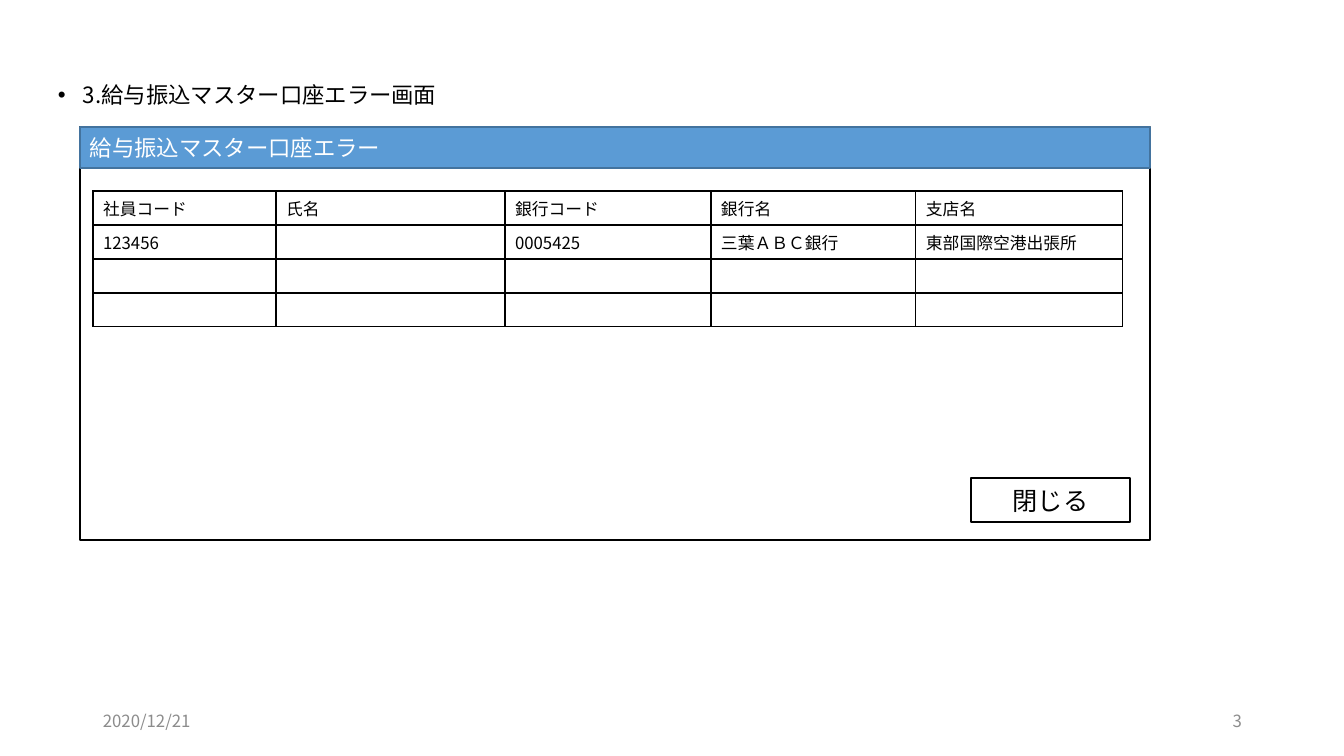
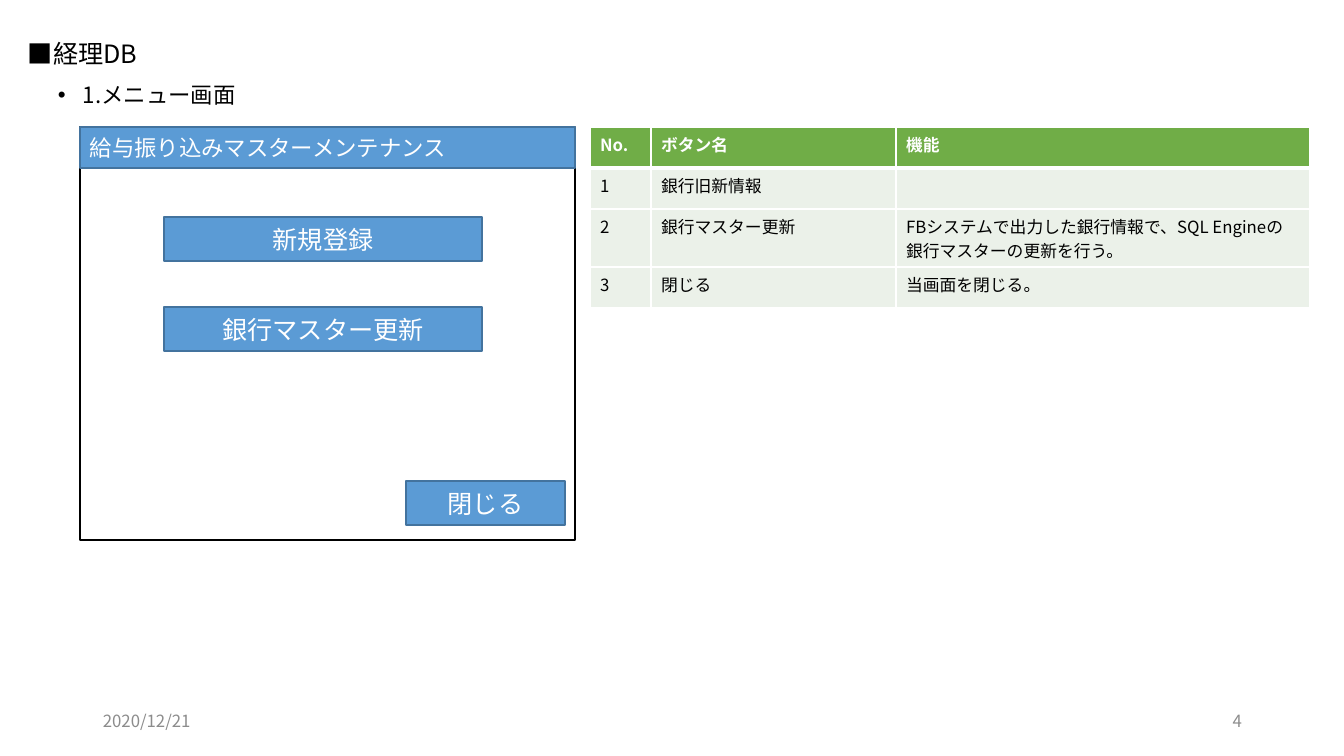
from dataclasses import dataclass
from lxml.etree import SubElement
from pptx import Presentation
from pptx.dml.color import RGBColor
from pptx.enum.shapes import MSO_SHAPE
from pptx.enum.text import MSO_ANCHOR, PP_ALIGN
from pptx.oxml.ns import qn
from pptx.slide import Slide
from pptx.text.text import TextFrame
from pptx.util import Emu, Pt

SCALE = 914400 / 100.8
FONT = "Noto Sans CJK JP"
INK = {
    "black": "000000",
    "white": "FFFFFF",
    "blue": "5B9BD5",
    "edge": "43739E",
    "gray": "8C8C8C",
    "green": "70AD47",
    "pale": "EBF1E9",
}


@dataclass(frozen=True)
class Box:
    x: int
    y: int
    w: int
    h: int

    def emu(self) -> tuple[Emu, ...]:
        return tuple(px(n) for n in (self.x, self.y, self.w, self.h))


@dataclass(frozen=True)
class Style:
    size: int
    color: str = "black"
    bold: bool = False
    align: PP_ALIGN = PP_ALIGN.LEFT


@dataclass(frozen=True)
class Skin:
    fill: str | None
    line: str
    width: float
    color: str


@dataclass(frozen=True)
class Button:
    text: str
    box: Box
    skin: Skin


@dataclass(frozen=True)
class Look:
    line: str
    head: str | None
    body: str | None
    title: Style
    rule: float


@dataclass(frozen=True)
class Grid:
    x: int
    y: int
    cols: tuple[int, ...]
    rows: tuple[int, ...]
    cells: tuple[tuple[str, ...], ...]
    look: Look


@dataclass(frozen=True)
class Page:
    number: int
    title: str
    item: str
    window: str
    width: int
    buttons: tuple[Button, ...]
    grid: Grid


def px(n: float) -> Emu:
    return Emu(round(n * SCALE))


def rgb(name: str) -> RGBColor:
    return RGBColor.from_string(INK[name])


def write(frame: TextFrame, text: str, style: Style) -> None:
    para = frame.paragraphs[0]
    para.alignment = style.align
    if not text:
        SubElement(para._p, qn("a:endParaRPr"), sz=str(style.size * 100))
        return
    run = para.add_run()
    run.text = text
    run.font.size = Pt(style.size)
    run.font.bold = style.bold
    run.font.color.rgb = rgb(style.color)
    run.font.name = FONT
    SubElement(run._r.get_or_add_rPr(), qn("a:ea"), typeface=FONT)


def label(slide: Slide, box: Box, text: str, style: Style,
          anchor: MSO_ANCHOR = MSO_ANCHOR.MIDDLE) -> TextFrame:
    frame = slide.shapes.add_textbox(*box.emu()).text_frame
    frame.word_wrap = True
    frame.vertical_anchor = anchor
    write(frame, text, style)
    return frame


def bullet(slide: Slide, text: str) -> None:
    frame = label(slide, Box(48, 79, 1246, 614), text, Style(16), MSO_ANCHOR.TOP)
    para = frame.paragraphs[0]
    para.line_spacing = 0.9
    para.space_before = Pt(10)
    props = para._p.get_or_add_pPr()
    props.set("marL", str(px(25)))
    props.set("indent", str(px(-25)))
    SubElement(props, qn("a:buFont"), typeface="Arial")
    SubElement(props, qn("a:buChar"), char="•")


def panel(slide: Slide, box: Box, skin: Skin, text: str = "", size: int = 18,
          align: PP_ALIGN = PP_ALIGN.CENTER) -> None:
    shape = slide.shapes.add_shape(MSO_SHAPE.RECTANGLE, *box.emu())
    shape.shadow.inherit = False
    if skin.fill:
        shape.fill.solid()
        shape.fill.fore_color.rgb = rgb(skin.fill)
    else:
        shape.fill.background()
    shape.line.color.rgb = rgb(skin.line)
    shape.line.width = Pt(skin.width)
    if text:
        shape.text_frame.word_wrap = True
        shape.text_frame.vertical_anchor = MSO_ANCHOR.MIDDLE
        write(shape.text_frame, text, Style(size, skin.color, align=align))


def table(slide: Slide, grid: Grid) -> None:
    look = grid.look
    box = Box(grid.x, grid.y, sum(grid.cols), sum(grid.rows))
    made = slide.shapes.add_table(len(grid.rows), len(grid.cols), *box.emu()).table
    made.first_row = made.horz_banding = False
    for col, width in zip(made.columns, grid.cols):
        col.width = px(width)
    for row, high in zip(made.rows, grid.rows):
        row.height = px(high)
    for r, line in enumerate(grid.cells):
        for c, text in enumerate(line):
            cell = made.cell(r, c)
            write(cell.text_frame, text, Style(12) if r else look.title)
            props = cell._tc.get_or_add_tcPr()
            for side in "LRTB":
                thick = (r, side) in ((0, "B"), (1, "T"))
                width = Pt(look.rule if thick else 1)
                edge = SubElement(props, qn(f"a:ln{side}"), w=str(width))
                fill = SubElement(edge, qn("a:solidFill"))
                SubElement(fill, qn("a:srgbClr"), val=INK[look.line])
            tone = look.body if r else look.head
            if tone:
                cell.fill.solid()
                cell.fill.fore_color.rgb = rgb(tone)
            else:
                cell.fill.background()


def draw(slide: Slide, page: Page) -> None:
    if page.title:
        frame = label(slide, Box(18, 40, 1302, 30), page.title, Style(18))
        frame.paragraphs[0].line_spacing = 0.9
    bullet(slide, page.item)
    panel(slide, Box(80, 127, page.width, 413), FRAME)
    panel(slide, Box(80, 127, page.width, 41), SOLID, page.window, 16, PP_ALIGN.LEFT)
    for item in page.buttons:
        panel(slide, item.box, item.skin, item.text)
    label(slide, Box(93, 701, 302, 40), "2020/12/21", Style(12, "gray"))
    label(slide, Box(950, 701, 302, 40), str(page.number),
          Style(12, "gray", align=PP_ALIGN.RIGHT))
    table(slide, page.grid)


FRAME = Skin(None, "black", 1, "black")
PLAIN = Skin(None, "black", 1.5, "black")
SOLID = Skin("blue", "edge", 1, "white")
LINED = Look("black", None, None, Style(12), 1)
GREEN = Look("white", "green", "pale", Style(12, "white", True), 3)
BLANK = ("",) * 5

PAGES = (
    Page(
        3, "", "3.給与振込マスター口座エラー画面", "給与振込マスター口座エラー", 1070,
        (Button("閉じる", Box(971, 478, 159, 44), PLAIN),),
        Grid(93, 191, (183, 229, 206, 205, 207), (34,) * 4, (
            ("社員コード", "氏名", "銀行コード", "銀行名", "支店名"),
            ("123456", "", "0005425", "三葉ＡＢＣ銀行", "東部国際空港出張所"),
            BLANK,
            BLANK,
        ), LINED),
    ),
    Page(
        4, "■経理DB", "1.メニュー画面", "給与振り込みマスターメンテナンス", 495,
        (
            Button("新規登録", Box(164, 217, 318, 44), SOLID),
            Button("銀行マスター更新", Box(164, 307, 318, 44), SOLID),
            Button("閉じる", Box(406, 481, 159, 44), SOLID),
        ),
        Grid(590, 127, (61, 245, 414), (41, 41, 58, 41), (
            ("No.", "ボタン名", "機能"),
            ("1", "銀行旧新情報", ""),
            ("2", "銀行マスター更新",
             "FBシステムで出力した銀行情報で、SQL Engineの銀行マスターの更新を行う。"),
            ("3", "閉じる", "当画面を閉じる。"),
        ), GREEN),
    ),
)

deck = Presentation()
deck.slide_width = px(1344)
deck.slide_height = px(756)
for page in PAGES:
    draw(deck.slides.add_slide(deck.slide_layouts[6]), page)
deck.save("out.pptx")
